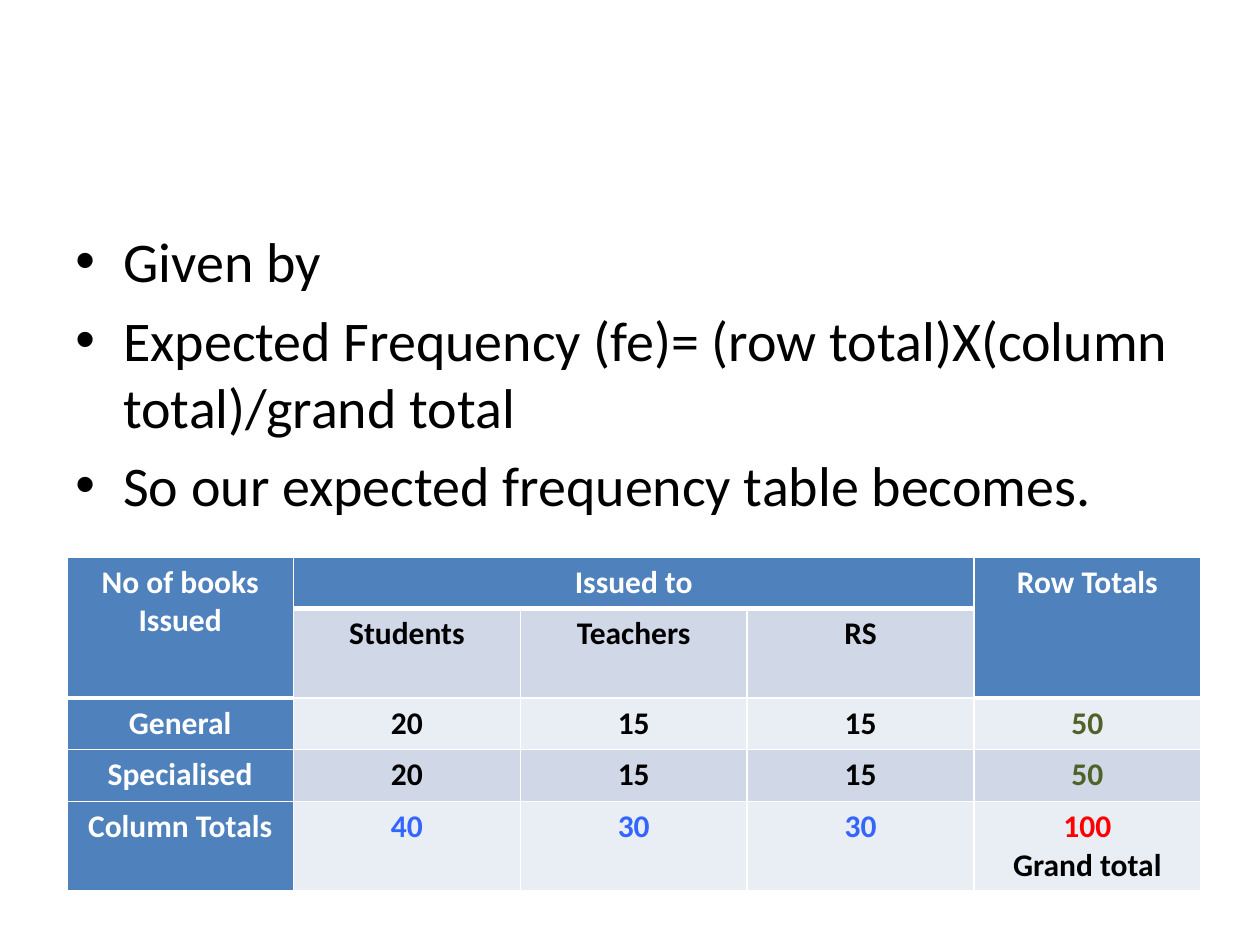
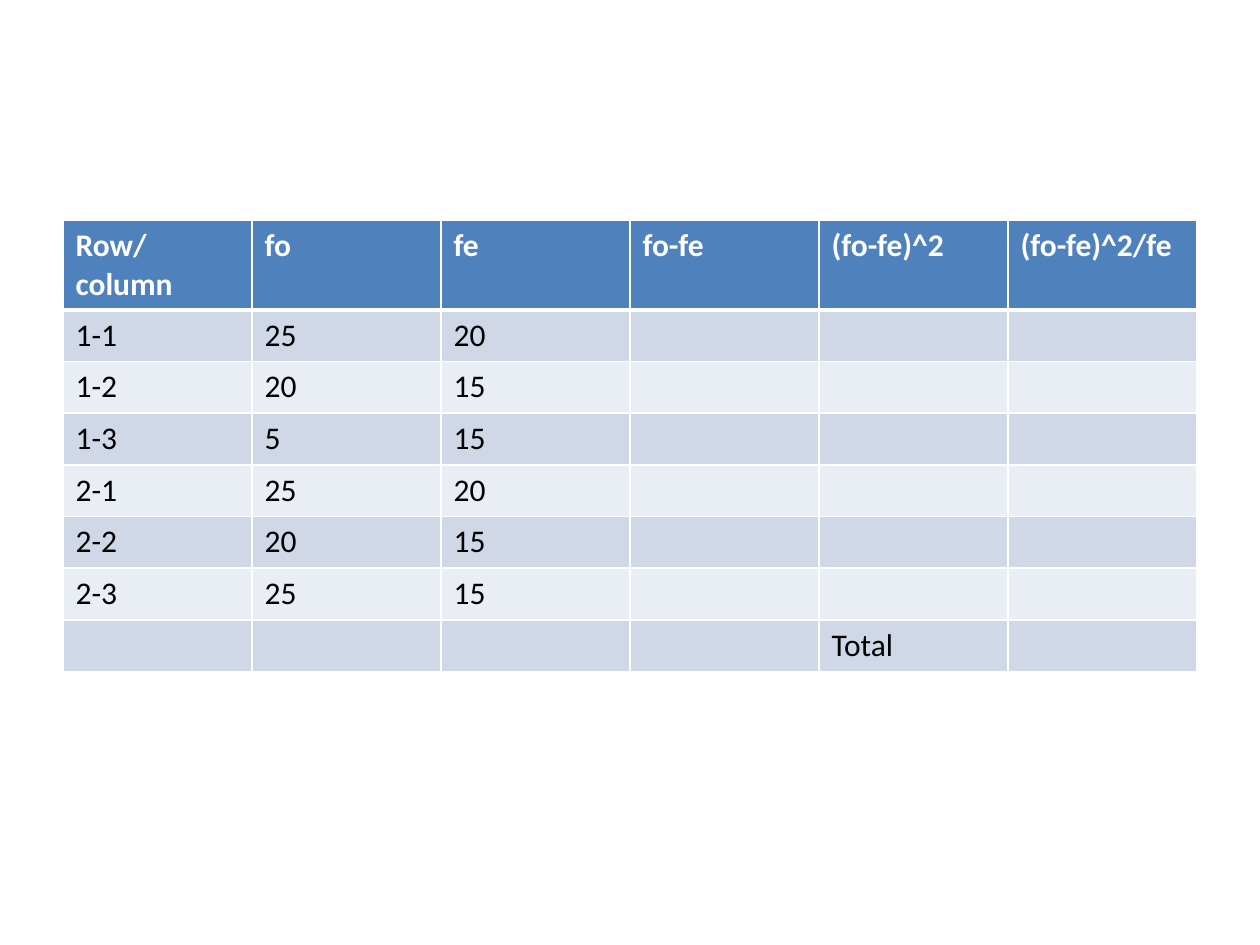
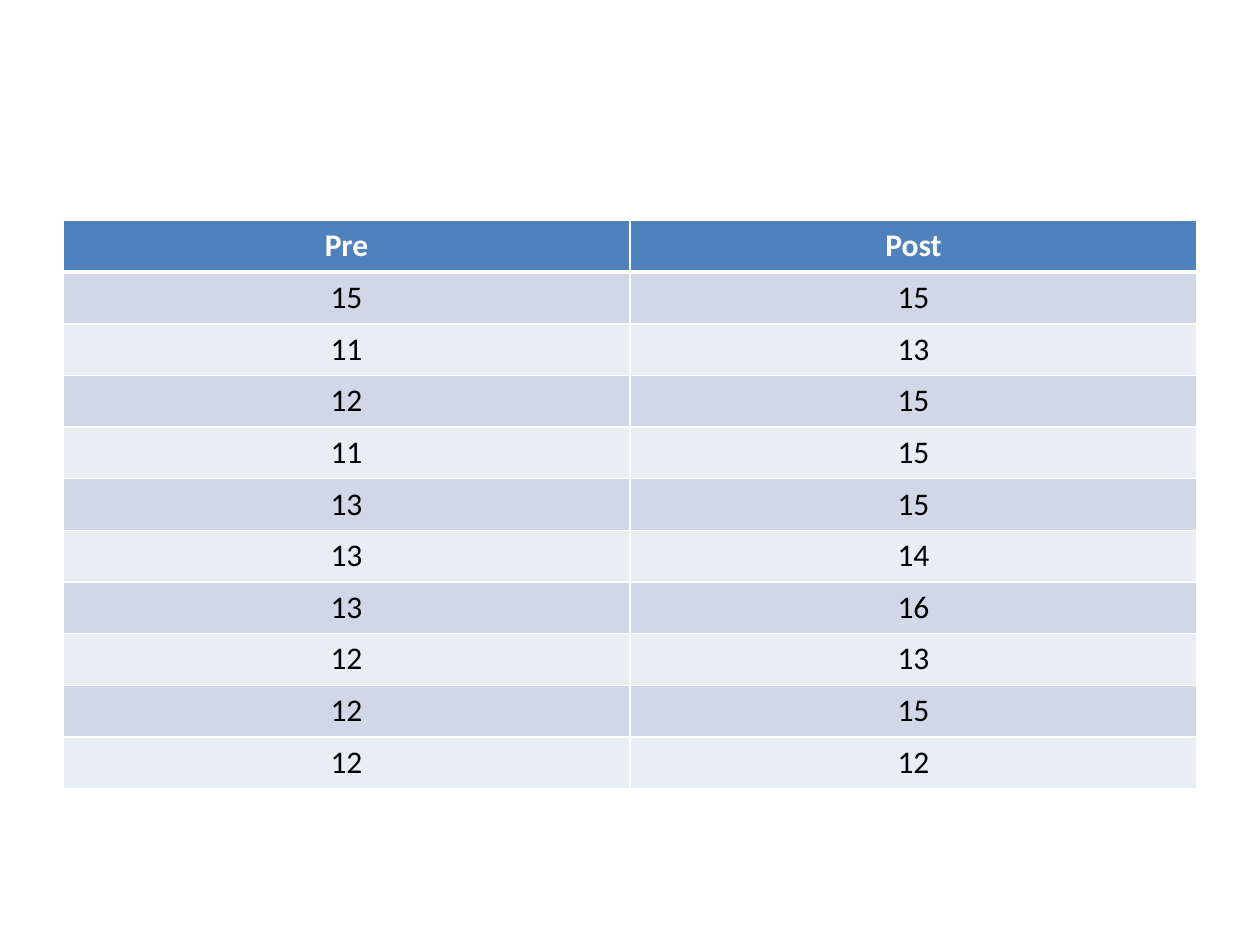
import dataclasses

import lxml.etree
import pptx
import pptx.dml.color
import pptx.enum.text
import pptx.oxml.ns
import pptx.util

CENTER = pptx.enum.text.PP_ALIGN.CENTER
LEFT = pptx.enum.text.PP_ALIGN.LEFT


@dataclasses.dataclass(frozen=True)
class Theme:
    """Sizes in inches and points, colours and font shared by the slides."""
    width: float = 10
    height: float = 7.5
    margin: float = 0.5
    content_top: float = 1.75
    content_width: float = 9
    row: float = 0.41
    tall_row: float = 0.71
    font: str = "Calibri"
    body_size: int = 32
    table_size: int = 18
    thin_line: int = 1
    thick_line: int = 3
    ink: str = "000000"
    paper: str = "FFFFFF"
    header: str = "4F81BD"
    bands: tuple = ("E9EDF4", "D0D8E8")
    row_total: str = "4F6228"
    column_total: str = "3366FF"
    grand_total: str = "FF0000"


THEME = Theme()


def set_font(paragraph, size, color, bold=False):
    """Give a whole paragraph one font."""
    paragraph.font.name = THEME.font
    paragraph.font.size = pptx.util.Pt(size)
    paragraph.font.bold = bold
    paragraph.font.color.rgb = pptx.dml.color.RGBColor.from_string(color)


def add_child(parent, tag, **attributes):
    """Append a DrawingML element."""
    return lxml.etree.SubElement(parent, pptx.oxml.ns.qn(tag), **attributes)


def add_bullets(slide, texts, height):
    """Add a bulleted list in the content area."""
    shape = slide.shapes.add_textbox(
        *map(pptx.util.Inches, (THEME.margin, THEME.content_top, THEME.content_width, height)))
    frame = shape.text_frame
    frame.word_wrap = True
    frame.text = "\n".join(texts)
    indent = pptx.util.Inches(0.38)
    for paragraph in frame.paragraphs:
        set_font(paragraph, THEME.body_size, THEME.ink)
        paragraph.space_before = pptx.util.Pt(0.2 * THEME.body_size)
        properties = paragraph.font._element.getparent()
        properties.set("marL", str(indent))
        properties.set("indent", str(-indent))
        bullet_font = lxml.etree.Element(pptx.oxml.ns.qn("a:buFont"), typeface="Arial")
        bullet = lxml.etree.Element(pptx.oxml.ns.qn("a:buChar"), char="•")
        for element in (bullet_font, bullet):
            paragraph.font._element.addprevious(element)


def style_cell(cell, fill, color, bold, alignment, bottom):
    """Set the borders, fill and text of a table cell."""
    properties = cell._tc.get_or_add_tcPr()
    for side, width in zip("LRTB", (THEME.thin_line,) * 3 + (bottom,)):
        line = add_child(properties, f"a:ln{side}", w=str(pptx.util.Pt(width)))
        add_child(add_child(line, "a:solidFill"), "a:srgbClr", val=THEME.paper)
    cell.fill.solid()
    cell.fill.fore_color.rgb = pptx.dml.color.RGBColor.from_string(fill)
    for paragraph in cell.text_frame.paragraphs:
        paragraph.alignment = alignment
        set_font(paragraph, THEME.table_size, color, bold)


def add_grid(slide, rows, left=THEME.margin, top=THEME.content_top, tall_rows=(),
             alignment=CENTER, bold=False, header_column=False, merges=()):
    """Add a banded table with equal columns and return it."""
    column_count = len(rows[0])
    heights = [THEME.tall_row if index in tall_rows else THEME.row for index in range(len(rows))]
    table = slide.shapes.add_table(
        len(rows), column_count,
        *map(pptx.util.Inches, (left, top, THEME.content_width, sum(heights)))).table
    table.horz_banding = False
    for column in table.columns:
        column.width = pptx.util.Inches(THEME.content_width / column_count)
    for row, height in zip(table.rows, heights):
        row.height = pptx.util.Inches(height)
    covered = set()
    for first, last in merges:
        table.cell(*first).merge(table.cell(*last))
        if first[0] == 0:
            covered.update((row, column) for row in range(last[0] + 1)
                           for column in range(first[1], last[1] + 1))
    for row, texts in enumerate(rows):
        for column, text in enumerate(texts):
            cell = table.cell(row, column)
            if text:
                cell.text = text
            top_header = row == 0 or (row, column) in covered
            header = top_header or (header_column and column == 0)
            style_cell(cell,
                       THEME.header if header else THEME.bands[row % 2],
                       THEME.paper if header else THEME.ink,
                       bold or header, alignment,
                       THEME.thick_line if top_header else THEME.thin_line)
    return table


def add_expected_frequencies(slide):
    """Add the expected frequency rule and its table with coloured totals."""
    add_bullets(slide, [
        "Given by",
        "Expected Frequency (fe)= (row total)X(column total)/grand total",
        "So our expected frequency table becomes.",
    ], 4.95)
    table = add_grid(slide, [
        ["No of books Issued", "Issued to", "", "", "Row Totals"],
        ["", "Students", "Teachers", "RS", ""],
        ["General", "20", "15", "15", "50"],
        ["Specialised", "20", "15", "15", "50"],
        ["Column Totals", "40", "30", "30", "100\nGrand total"],
    ], left=0.53, top=4.42, tall_rows=(1, 4), bold=True, header_column=True,
        merges=[((0, 0), (1, 0)), ((0, 1), (0, 3)), ((0, 4), (1, 4))])
    totals = {(2, 4): THEME.row_total, (3, 4): THEME.row_total, (4, 4): THEME.grand_total}
    totals.update({(4, column): THEME.column_total for column in (1, 2, 3)})
    for position, color in totals.items():
        set_font(table.cell(*position).text_frame.paragraphs[0], THEME.table_size, color, True)


def add_chi_square_worksheet(slide):
    """Add the worksheet of observed and expected frequencies."""
    frequencies = [("1-1", "25", "20"), ("1-2", "20", "15"), ("1-3", "5", "15"),
                   ("2-1", "25", "20"), ("2-2", "20", "15"), ("2-3", "25", "15")]
    add_grid(slide, [
        ["Row/column", "fo", "fe", "fo-fe", "(fo-fe)^2", "(fo-fe)^2/fe"],
        *([*values, "", "", ""] for values in frequencies),
        ["", "", "", "", "Total", ""],
    ], tall_rows=(0,), alignment=LEFT)


def add_pre_post_scores(slide):
    """Add the table of paired scores."""
    before = (15, 11, 12, 11, 13, 13, 13, 12, 12, 12)
    after = (15, 13, 15, 15, 15, 14, 16, 13, 15, 12)
    add_grid(slide, [("Pre", "Post"), *((str(pre), str(post)) for pre, post in zip(before, after))])


def main():
    """Build and save the presentation."""
    presentation = pptx.Presentation()
    presentation.slide_width = pptx.util.Inches(THEME.width)
    presentation.slide_height = pptx.util.Inches(THEME.height)
    for add_content in (add_expected_frequencies, add_chi_square_worksheet, add_pre_post_scores):
        add_content(presentation.slides.add_slide(presentation.slide_layouts[6]))
    presentation.save("out.pptx")


if __name__ == "__main__":
    main()
